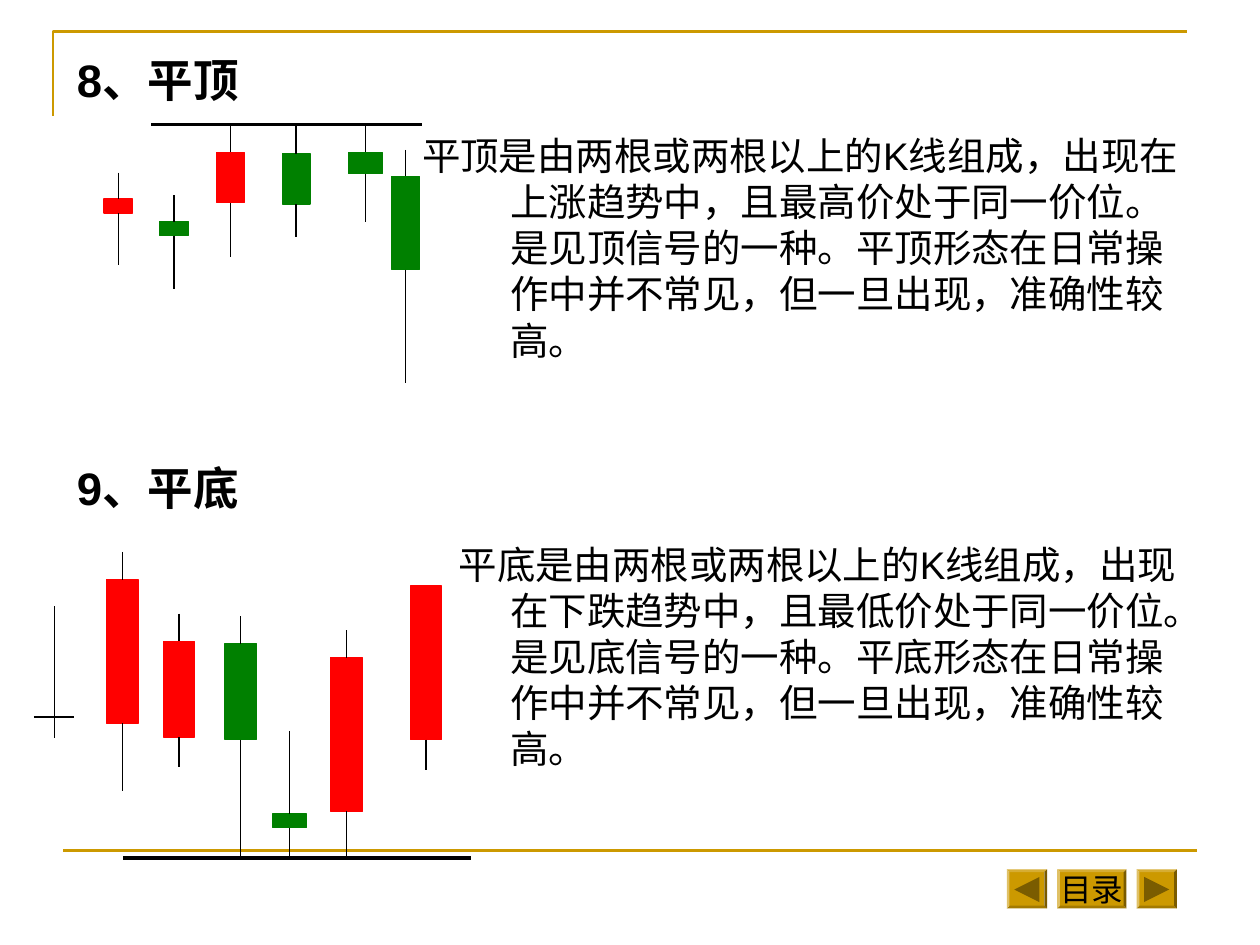
from lxml import etree
from pptx import Presentation
from pptx import util as u
from pptx.dml.color import RGBColor
from pptx.enum import shapes, text
from pptx.oxml.ns import qn

RED, GREEN, GOLD, BLACK, BROWN = "FF0000", "008000", "CC9900", "000000", "7A5C00"

# Candles: colour, centre x, width, high, body top, body bottom, low
TOP_CANDLES = [
    (RED, 0.94, 0.23, 1.37, 1.58, 1.69, 2.1),
    (GREEN, 1.38, 0.23, 1.55, 1.76, 1.87, 2.29),
    (RED, 1.83, 0.22, 1, 1.21, 1.61, 2.04),
    (GREEN, 2.35, 0.22, 1, 1.22, 1.62, 1.88),
    (GREEN, 2.9, 0.27, 0.99, 1.21, 1.38, 1.76),
    (GREEN, 3.22, 0.22, 1.19, 1.4, 2.14, 3.04),
]
BOTTOM_CANDLES = [
    (RED, 0.97, 0.25, 4.38, 4.6, 5.74, 6.28),
    (RED, 1.42, 0.25, 4.87, 5.09, 5.85, 6.09),
    (GREEN, 1.91, 0.25, 4.89, 5.11, 5.87, 6.81),
    (GREEN, 2.3, 0.27, 5.8, 6.46, 6.57, 6.8),
    (RED, 2.75, 0.25, 5, 5.22, 6.44, 6.82),
    (RED, 3.38, 0.25, 4.65, 4.65, 5.87, 6.11),
]
# Sections: heading, space before it, first-line indent of the body, body
SECTIONS = [
    ("8、平顶", 0, -0.7,
     "平顶是由两根或两根以上的K线组成，出现在上涨趋势中，且最高价处于同一价位。"
     "是见顶信号的一种。平顶形态在日常操作中并不常见，但一旦出现，准确性较高。"),
    ("9、平底", 50, -0.41,
     "平底是由两根或两根以上的K线组成，出现在下跌趋势中，且最低价处于同一价位。"
     "是见底信号的一种。平底形态在日常操作中并不常见，但一旦出现，准确性较高。"),
]


def rgb(color):
    return RGBColor.from_string(color)


def add_line(s, x1, y1, x2, y2, color=BLACK, width=0.75):
    sp = s.shapes.add_connector(shapes.MSO_CONNECTOR.STRAIGHT, u.Inches(x1),
                                u.Inches(y1), u.Inches(x2), u.Inches(y2))
    sp.line.color.rgb = rgb(color)
    sp.line.width = u.Pt(width)
    etree.SubElement(sp._element.spPr, qn("a:effectLst"))


def add_block(s, kind, x, y, w, h, color, outlined=False):
    sp = s.shapes.add_shape(kind, u.Inches(x), u.Inches(y), u.Inches(w), u.Inches(h))
    sp.shadow.inherit = False
    sp.fill.solid()
    sp.fill.fore_color.rgb = rgb(color)
    if outlined:
        sp.line.color.rgb = rgb(color)
        sp.line.width = u.Pt(0.75)
    else:
        sp.line.fill.background()
    return sp


def add_candle(s, color, x, width, high, top, bottom, low):
    add_block(s, shapes.MSO_SHAPE.RECTANGLE, x - width / 2, top, width,
              bottom - top, color, outlined=True)
    if high < top:
        add_line(s, x, high, x, top)
    add_line(s, x, bottom, x, low)


def add_button(s, x, width):
    sp = add_block(s, shapes.MSO_SHAPE.BEVEL, x, 6.9, width, 0.31, GOLD)
    sp.adjustments[0] = 0.07
    return sp


def add_arrow_button(s, x, rotation):
    add_button(s, x, 0.32)
    sp = add_block(s, shapes.MSO_SHAPE.ISOSCELES_TRIANGLE, x + 0.06, 6.96, 0.2, 0.2, BROWN)
    sp.rotation = rotation


def add_run(p, words, size, bold=False):
    r = p.add_run()
    r.text = words
    r.font.name = "Arial"
    r.font.size = u.Pt(size)
    r.font.bold = bold
    r.font.color.rgb = rgb(BLACK)


def format_paragraph(p, left, indent, before, spacing):
    pPr = p._p.get_or_add_pPr()
    pPr.set("marL", str(u.Inches(left)))
    pPr.set("indent", str(u.Inches(indent)))
    etree.SubElement(pPr, qn("a:buNone"))
    p.alignment = text.PP_ALIGN.LEFT
    p.space_before = u.Pt(before)
    p.space_after = u.Pt(0)
    p.line_spacing = u.Pt(spacing)


def fill_body(sp):
    sp.left, sp.top, sp.width, sp.height = map(u.Inches, (0.51, 0.28, 9.06, 6.85))
    tf = sp.text_frame
    tf.word_wrap = True
    tf.auto_size = text.MSO_AUTO_SIZE.NONE
    tf.vertical_anchor = text.MSO_ANCHOR.TOP
    p = tf.paragraphs[0]
    for i, (heading, before, indent, body) in enumerate(SECTIONS):
        if i:
            p = tf.add_paragraph()
        format_paragraph(p, 0, 0, before, 37)
        add_run(p, heading, 26, bold=True)
        p = tf.add_paragraph()
        format_paragraph(p, 3.44, indent, 15, 26.3)
        add_run(p, body, 22)


def add_frame(s):
    fb = s.shapes.build_freeform(u.Inches(0.42), u.Inches(0.92))
    fb.add_line_segments([(u.Inches(0.42), u.Inches(0.25)),
                          (u.Inches(9.42), u.Inches(0.25))], close=False)
    sp = fb.convert_to_shape()
    sp.shadow.inherit = False
    sp.fill.background()
    sp.line.color.rgb = rgb(GOLD)
    sp.line.width = u.Pt(1.5)
    add_line(s, 0.5, 6.75, 9.5, 6.75, GOLD, 1.5)


def add_navigation(s):
    add_arrow_button(s, 7.99, 270)
    add_arrow_button(s, 9.02, 90)
    tf = add_button(s, 8.39, 0.55).text_frame
    tf.word_wrap = False
    tf.vertical_anchor = text.MSO_ANCHOR.MIDDLE
    p = tf.paragraphs[0]
    p.alignment = text.PP_ALIGN.CENTER
    add_run(p, "目录", 18)


def main():
    prs = Presentation()
    prs.slide_width, prs.slide_height = u.Inches(10), u.Inches(7.5)
    s = prs.slides.add_slide(prs.slide_layouts[1])
    title = s.shapes.title._element
    title.getparent().remove(title)

    # Frame, navigation and wording
    add_frame(s)
    add_navigation(s)
    fill_body(s.placeholders[1])

    # Flat top and flat bottom candles
    for candle in TOP_CANDLES + BOTTOM_CANDLES:
        add_candle(s, *candle)

    # Opening cross of the flat bottom
    add_line(s, 0.27, 5.69, 0.59, 5.69)
    add_line(s, 0.43, 4.81, 0.43, 5.86)

    # Shared high and shared low
    add_line(s, 1.2, 0.99, 3.35, 0.99, width=2)
    add_line(s, 0.98, 6.81, 3.74, 6.81, width=2)

    prs.save("out.pptx")


if __name__ == "__main__":
    main()
